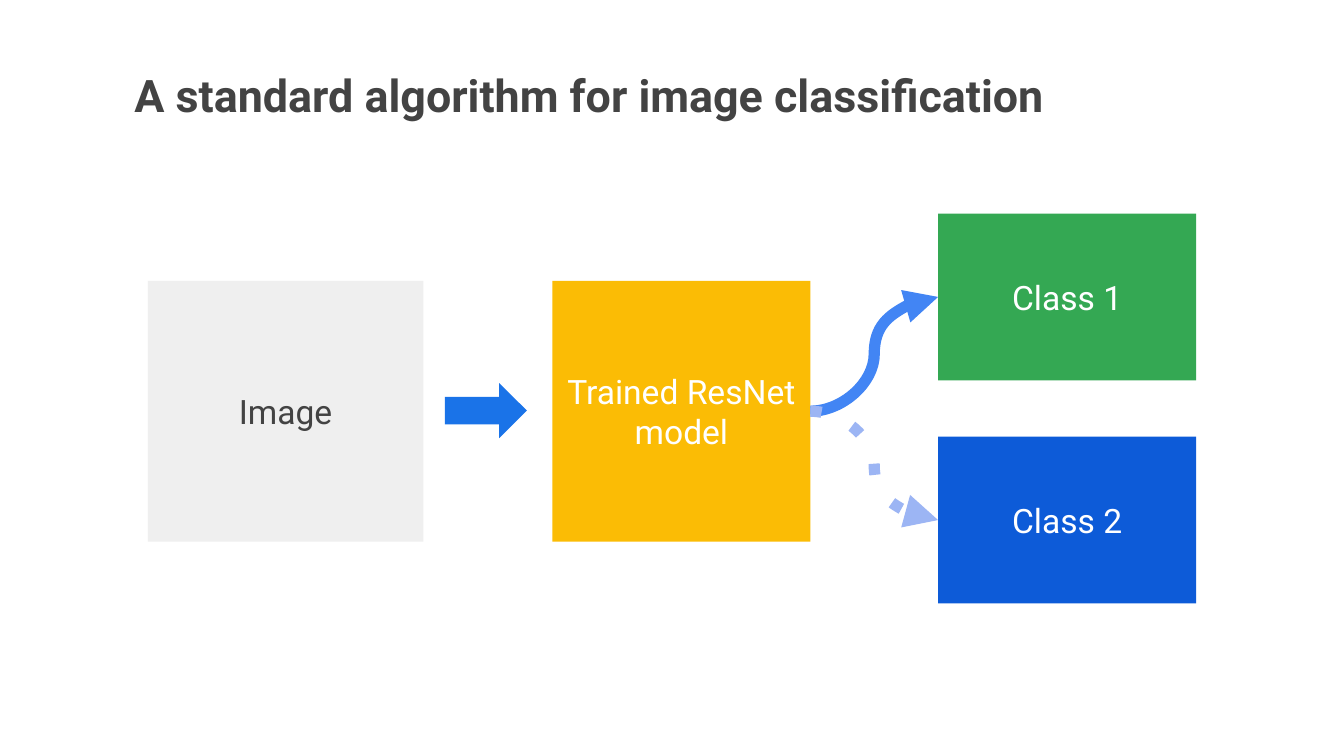
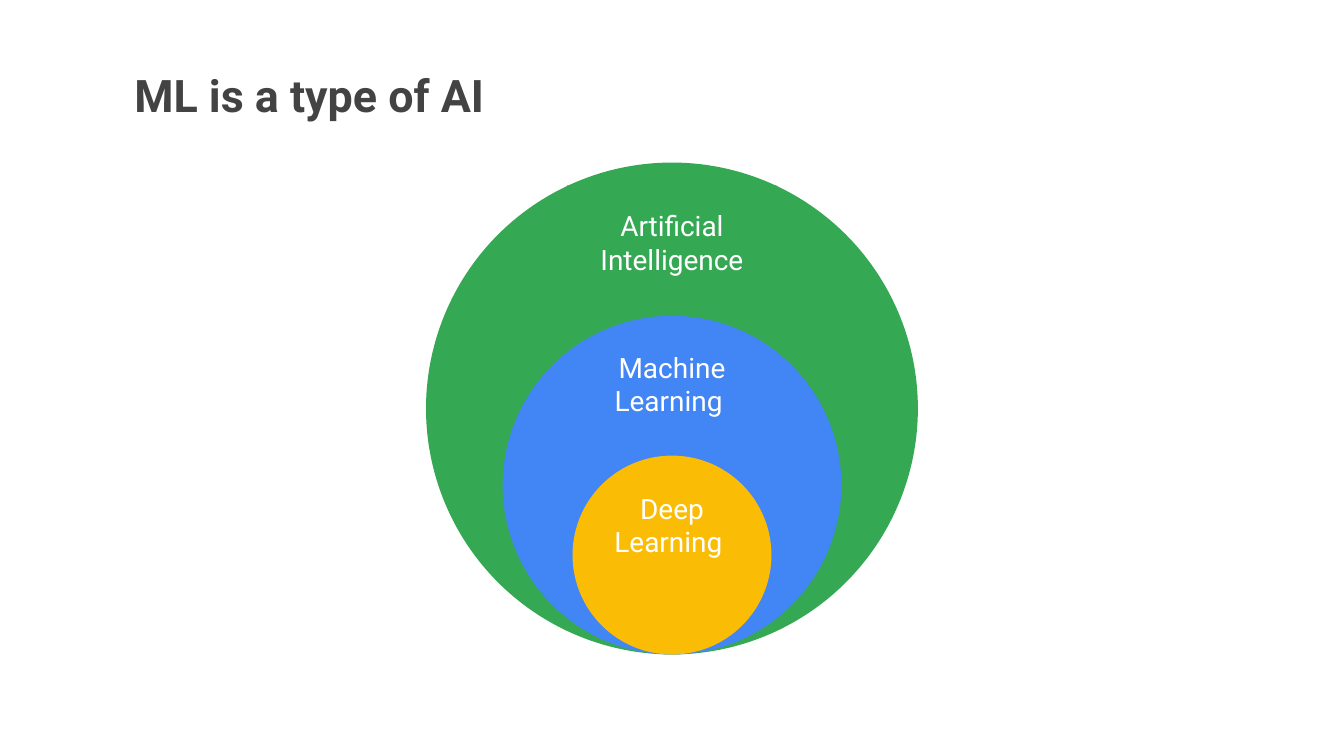
"""Build two slides: an image classification flow and nested fields of AI."""
from dataclasses import dataclass

from lxml.etree import SubElement
from pptx import Presentation
from pptx.dml.color import RGBColor
from pptx.enum.shapes import MSO_CONNECTOR as Connector, MSO_SHAPE as Preset
from pptx.enum.text import MSO_ANCHOR as Anchor, PP_ALIGN as Align
from pptx.oxml.ns import qn
from pptx.shapes.autoshape import Shape
from pptx.slide import Slide
from pptx.util import Inches, Pt

SLIDE_WIDTH = 10
SLIDE_HEIGHT = SLIDE_WIDTH * 9 / 16
FONT = "Roboto"
COLORS = {
    "ink": "434343",
    "white": "FFFFFF",
    "grey": "EFEFEF",
    "yellow": "FBBC05",
    "green": "34A853",
    "blue": "4285F4",
    "deep blue": "0D5BD8",
    "arrow blue": "1A73E8",
    "pale blue": "9CB5F4",
}
RIGHT_SITE, LEFT_SITE = 3, 1
FIELDS_CENTER, FIELDS_BOTTOM = SLIDE_WIDTH / 2, 4.87


@dataclass(frozen=True)
class Block:
    left: float
    top: float
    width: float
    height: float
    fill: str
    label: str = ""
    size: int = 18
    ink: str = "white"
    preset: Preset = Preset.RECTANGLE


@dataclass(frozen=True)
class Field:
    diameter: float
    fill: str
    label: str
    label_top: float
    label_width: float
    label_height: float


STAGE_TOP, STAGE_HEIGHT = 2.09, 1.94
CLASS_LEFT, CLASS_WIDTH, CLASS_HEIGHT = 6.98, 1.92, 1.24
IMAGE = Block(1.1, STAGE_TOP, 2.05, STAGE_HEIGHT, "grey", "Image", ink="ink")
MODEL = Block(4.11, STAGE_TOP, 1.92, STAGE_HEIGHT, "yellow", "Trained ResNet model")
FEED = Block(3.31, 2.85, 0.61, 0.41, "arrow blue", preset=Preset.RIGHT_ARROW)
CLASS_1 = Block(CLASS_LEFT, 1.59, CLASS_WIDTH, CLASS_HEIGHT, "green", "Class 1")
CLASS_2 = Block(CLASS_LEFT, 3.25, CLASS_WIDTH, CLASS_HEIGHT, "deep blue", "Class 2")

FIELDS = [
    Field(3.66, "green", "Artificial Intelligence", 1.38, 1.56, 0.85),
    Field(2.52, "blue", "Machine Learning ", 2.62, 1.32, 0.47),
    Field(1.48, "yellow", "Deep Learning ", 3.67, 1.14, 0.47),
]


def color(name: str) -> RGBColor:
    """Look up a named colour."""
    return RGBColor.from_string(COLORS[name])


def write(shape: Shape, text: str, size: int, ink: str, heading: bool = False) -> None:
    """Put one styled paragraph into a shape."""
    frame = shape.text_frame
    frame.word_wrap = True
    frame.margin_left = frame.margin_top = Inches(0 if heading else 0.05)
    frame.margin_right = frame.margin_bottom = Inches(0.05)
    frame.vertical_anchor = Anchor.TOP if heading else Anchor.MIDDLE
    paragraph = frame.paragraphs[0]
    paragraph.text = text
    paragraph.alignment = Align.LEFT if heading else Align.CENTER
    paragraph.font.name = FONT
    paragraph.font.size = Pt(size)
    paragraph.font.bold = heading
    paragraph.font.color.rgb = color(ink)


def titled_slide(deck: Presentation, title: str) -> Slide:
    """Add a blank slide with the shared heading."""
    slide = deck.slides.add_slide(deck.slide_layouts[6])
    heading = slide.shapes.add_textbox(Inches(1), Inches(0.5), Inches(8), Inches(0.59))
    write(heading, title, 24, "ink", heading=True)
    return slide


def draw_block(slide: Slide, block: Block) -> Shape:
    """Draw a flat filled shape with its label, if any."""
    shape = slide.shapes.add_shape(
        block.preset, Inches(block.left), Inches(block.top),
        Inches(block.width), Inches(block.height))
    shape.shadow.inherit = False
    shape.fill.solid()
    shape.fill.fore_color.rgb = color(block.fill)
    shape.line.fill.background()
    if block.label:
        write(shape, block.label, block.size, block.ink)
    return shape


def draw_path(slide: Slide, source: Shape, target: Shape, ink: str, dash: str) -> None:
    """Link two blocks with a curved arrow."""
    curve = slide.shapes.add_connector(Connector.CURVE, 0, 0, 0, 0)
    curve.begin_connect(source, RIGHT_SITE)
    curve.end_connect(target, LEFT_SITE)
    curve.line.color.rgb = color(ink)
    curve.line.width = Pt(6)
    properties = curve._element.spPr
    outline = properties.find(qn("a:ln"))
    SubElement(outline, qn("a:prstDash"), val=dash)
    SubElement(outline, qn("a:tailEnd"), type="triangle")
    SubElement(properties, qn("a:effectLst"))


def draw_field(slide: Slide, field: Field) -> None:
    """Draw a circle resting on the common bottom, with its label."""
    size = field.diameter
    draw_block(slide, Block(FIELDS_CENTER - size / 2, FIELDS_BOTTOM - size, size, size,
                            field.fill, preset=Preset.OVAL))
    draw_block(slide, Block(FIELDS_CENTER - field.label_width / 2, field.label_top,
                            field.label_width, field.label_height,
                            field.fill, field.label, size=15))


def build_classification(deck: Presentation) -> None:
    """Build the slide about image classification."""
    slide = titled_slide(deck, "A standard algorithm for image classification")
    draw_block(slide, FEED)
    draw_block(slide, IMAGE)
    model = draw_block(slide, MODEL)
    class_1 = draw_block(slide, CLASS_1)
    class_2 = draw_block(slide, CLASS_2)
    draw_path(slide, model, class_1, "blue", "solid")
    draw_path(slide, model, class_2, "pale blue", "dot")


def build_fields(deck: Presentation) -> None:
    """Build the slide about the nested fields of AI."""
    slide = titled_slide(deck, "ML is a type of AI")
    for field in FIELDS:
        draw_field(slide, field)


def main() -> None:
    """Build and save the presentation."""
    deck = Presentation()
    deck.slide_width = Inches(SLIDE_WIDTH)
    deck.slide_height = Inches(SLIDE_HEIGHT)
    build_classification(deck)
    build_fields(deck)
    deck.save("out.pptx")


if __name__ == "__main__":
    main()
